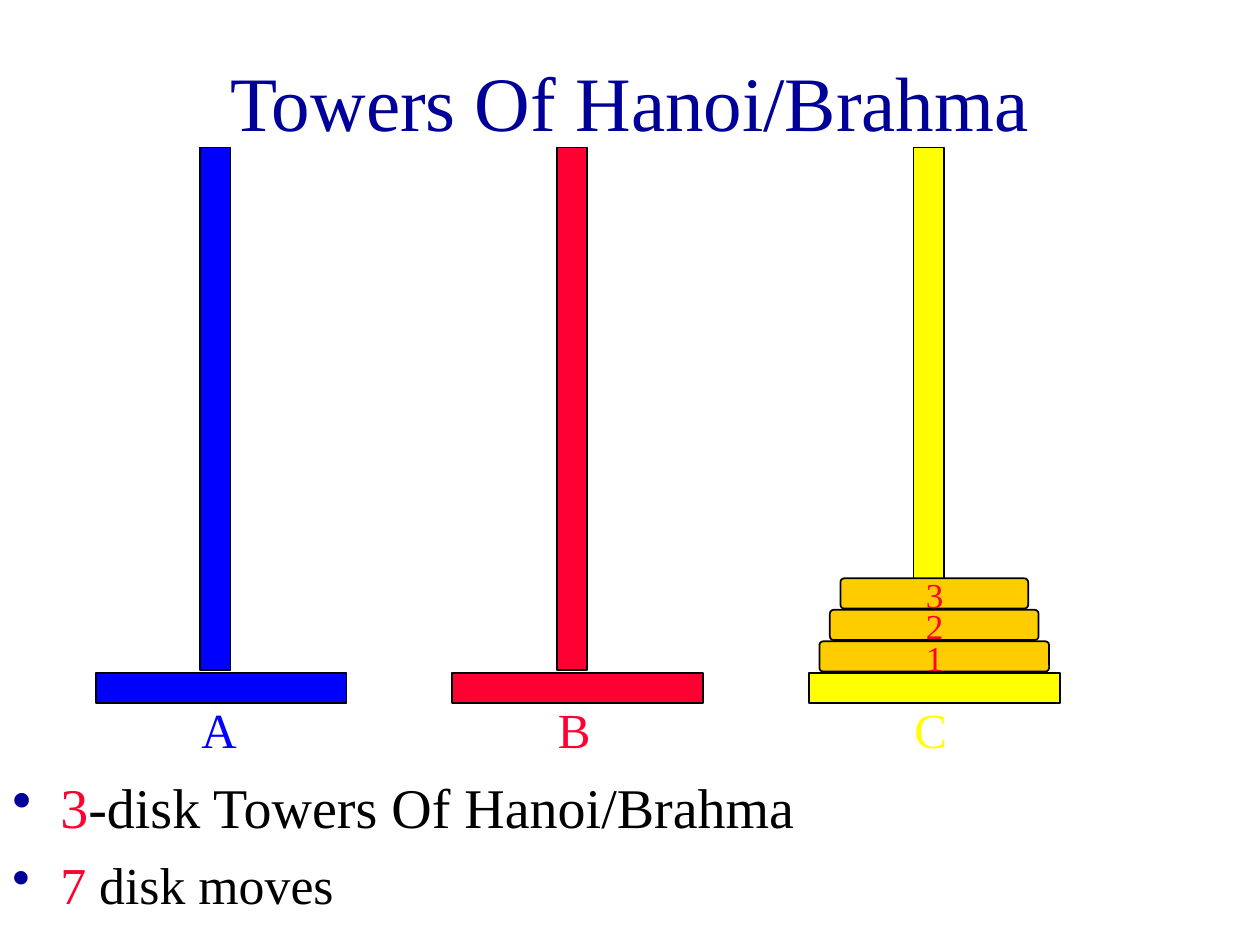
from pptx import Presentation
from pptx.dml.color import RGBColor
from pptx.enum.shapes import MSO_SHAPE as Geo
from pptx.enum.text import MSO_ANCHOR as Anchor, PP_ALIGN as Align
from pptx.util import Inches, Pt
from lxml.etree import SubElement
from pptx.oxml.ns import qn

NAVY = RGBColor(0x00, 0x00, 0x99)
BLUE = RGBColor(0x00, 0x00, 0xFF)
RED = RGBColor(0xFF, 0x00, 0x33)
YELLOW = RGBColor(0xFF, 0xFF, 0x00)
GOLD = RGBColor(0xFF, 0xCC, 0x00)
BLACK = RGBColor(0x00, 0x00, 0x00)

FACE = "Times New Roman"
BAR = 0.24
BASE = 1.99


def add_text(slide, box, runs, size, **form):
    """Place one paragraph; runs are (text, colour) pairs."""
    frame = slide.shapes.add_textbox(*map(Inches, box)).text_frame
    frame.word_wrap = True
    frame.vertical_anchor = form.pop("anchor", Anchor.TOP)
    para = frame.paragraphs[0]
    for name, value in form.items():
        setattr(para, name, value)
    for text, color in runs:
        run = para.add_run()
        run.text = text
        look = {"name": FACE, "size": Pt(size)}
        for name, value in look.items():
            setattr(run.font, name, value)
        run.font.color.rgb = color
    return para


def add_bar(slide, geo, box, color):
    bar = slide.shapes.add_shape(geo, *map(Inches, box))
    bar.shadow.inherit = False
    bar.fill.solid()
    bar.fill.fore_color.rgb = color
    bar.line.color.rgb = BLACK
    bar.line.width = Pt(1)
    return bar


def add_tower(slide, left, top, name, color):
    add_bar(slide, Geo.RECTANGLE, (left, top + 4.17, BASE, BAR), color)
    add_bar(slide, Geo.RECTANGLE, (left + 0.83, top, BAR, 4.15), color)
    add_text(slide, (left + 0.74, top + 4.33, 1, 0.57), [(name, color)], 28)


def add_disks(slide, left, floor, count):
    """Stack numbered disks on a tower base, widest at the bottom."""
    for num in range(1, count + 1):
        width = BASE - num / 6
        top = floor - num * 0.25
        disk = add_bar(slide, Geo.ROUNDED_RECTANGLE,
                       (left + (BASE - width) / 2, top, width, BAR), GOLD)
        disk.adjustments[0] = 0.125
        add_text(slide, (left + 0.83, top - 0.09, 0.75, 0.43),
                 [(str(num), RED)], 20)


def add_bullet(slide, top, runs, size, **form):
    para = add_text(slide, (0, top, 9.92, 0.61), runs, size, **form)
    props = para._p.get_or_add_pPr()
    props.set("marL", str(Inches(0.38)))
    props.set("indent", str(-Inches(0.38)))
    tint = SubElement(props, qn("a:buClr"))
    SubElement(tint, qn("a:srgbClr")).set("val", str(NAVY))
    SubElement(props, qn("a:buChar")).set("char", "•")


def main():
    deck = Presentation()
    deck.slide_width, deck.slide_height = Inches(10), Inches(7.5)
    slide = deck.slides.add_slide(deck.slide_layouts[6])

    add_text(slide, (0.75, 0.17, 8.5, 1.25),
             [("Towers Of Hanoi/Brahma", NAVY)], 44,
             anchor=Anchor.MIDDLE, alignment=Align.CENTER)
    left, top, pitch = 0.76, 1.17, 2.83
    towers = [("A", BLUE), ("B", RED), ("C", YELLOW)]
    for col, (name, color) in enumerate(towers):
        add_tower(slide, left + col * pitch, top, name, color)
    add_disks(slide, left + 2 * pitch, top + 4.17, 3)

    add_bullet(slide, 6.14,
               [("3", RED), ("-disk Towers Of Hanoi/Brahma", BLACK)], 32,
               line_spacing=0.9)
    add_bullet(slide, 6.72, [("7", RED), (" disk moves", BLACK)], 29.6)
    deck.save("out.pptx")


if __name__ == "__main__":
    main()
